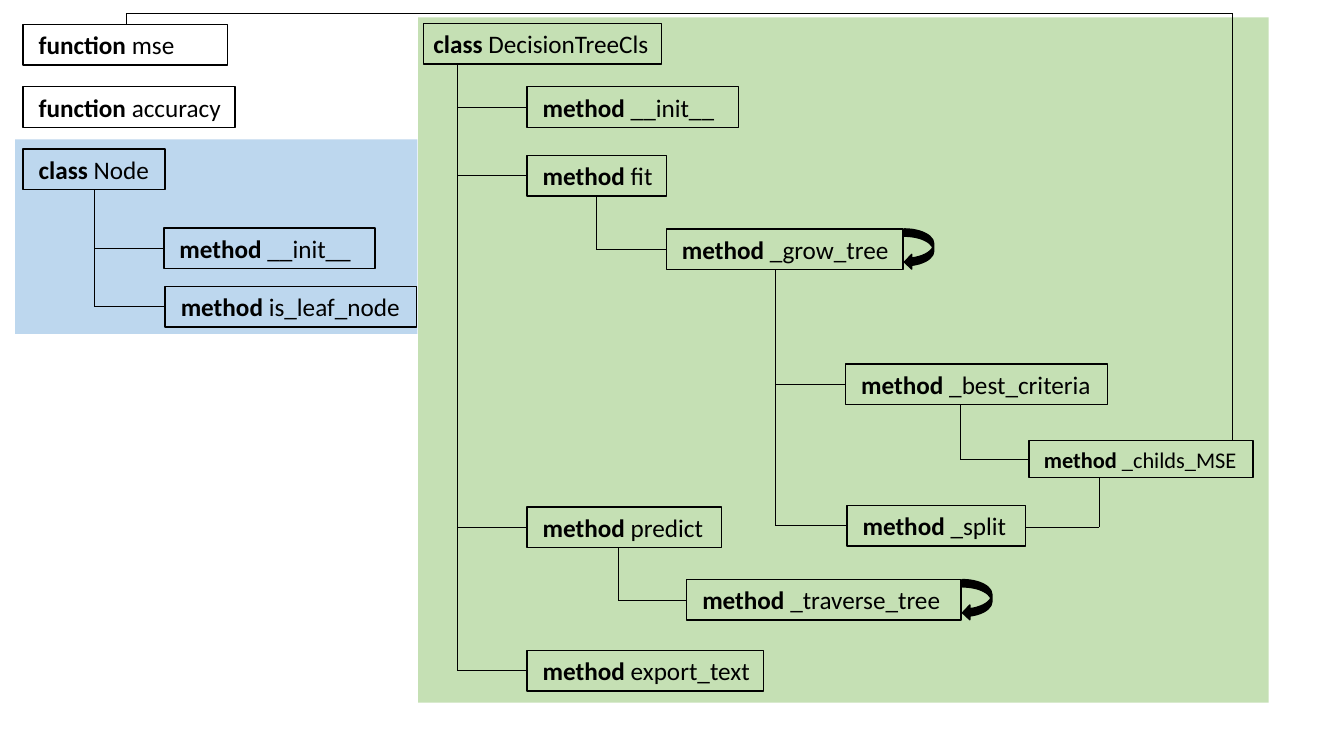
from dataclasses import dataclass
from itertools import pairwise

from lxml.etree import SubElement
from pptx import Presentation
from pptx.dml.color import RGBColor
from pptx.enum.shapes import MSO_CONNECTOR, MSO_SHAPE
from pptx.enum.text import MSO_ANCHOR, MSO_AUTO_SIZE, PP_ALIGN
from pptx.oxml.ns import qn
from pptx.util import Pt

HUES = {"ink": "000000", "green": "C5E0B4", "blue": "BDD7EE"}
FRAME = {
    "word_wrap": True,
    "auto_size": MSO_AUTO_SIZE.SHAPE_TO_FIT_TEXT,
    "vertical_anchor": MSO_ANCHOR.MIDDLE,
}

# name: kind, label, left, top, width, height, text size
BOXES = {
    "mse": (" function ", "mse", 16.5, 17.5, 146, 29, 18),
    "accuracy": (" function ", "accuracy", 16.5, 62, 151.5, 29, 18),
    "node": (" class ", "Node", 16.5, 106.5, 101.5, 29, 18),
    "node init": (" method", " __init__", 117, 162.75, 151, 29, 18),
    "leaf": (" method ", "is_leaf_node", 118, 204.5, 179.5, 29, 18),
    "cls": ("class ", "DecisionTreeCls", 302.5, 16.75, 170, 29, 18),
    "cls init": (" method", " __init__", 376.5, 62, 151, 29, 18),
    "fit": (" method ", "fit", 376.5, 111, 99.5, 29, 18),
    "predict": (" method ", "predict", 376.5, 362, 139, 29, 18),
    "export": (" method ", "export_text", 376.5, 464.5, 169, 29, 18),
    "grow": (" method", " _grow_tree", 476, 163.5, 169, 29, 18),
    "best": (" method", " _best_criteria", 604, 260, 187, 29, 18),
    "split": (" method", " _split", 605, 361, 127.5, 29, 18),
    "childs": (" method", " _childs_MSE", 735, 314.75, 160, 26.5, 16),
    "traverse": (" method", " _traverse_tree", 490.5, 414, 196, 29, 18),
}
# parent, x of its trunk, children
TREES = [
    ("node", 67.5, ["node init", "leaf"]),
    ("cls", 326.5, ["cls init", "fit", "predict", "export"]),
    ("fit", 426, ["grow"]),
    ("grow", 554, ["best", "split"]),
    ("best", 686, ["childs"]),
    ("predict", 441.5, ["traverse"]),
]


def tint(name):
    return RGBColor.from_string(HUES[name])


def apply(target, values):
    for key, value in values.items():
        setattr(target, key, value)


@dataclass
class Chart:
    slide: object
    font: str = "Calibri"
    edge: float = 1
    thin: float = 0.5

    def shape(self, kind, x, y, w, h, fill=None, edge=True):
        item = self.slide.shapes.add_shape(kind, Pt(x), Pt(y), Pt(w), Pt(h))
        item.shadow.inherit = False
        if fill:
            item.fill.solid()
            item.fill.fore_color.rgb = tint(fill)
        else:
            item.fill.background()
        if edge:
            item.line.color.rgb = tint("ink")
            item.line.width = Pt(self.edge)
        else:
            item.line.fill.background()
        return item

    def box(self, kind, label, x, y, w, h, size):
        frame = self.shape(MSO_SHAPE.RECTANGLE, x, y, w, h).text_frame
        apply(frame, FRAME)
        para = frame.paragraphs[0]
        para.alignment = PP_ALIGN.LEFT
        for text, bold in ((kind, True), (label, False)):
            run = para.add_run()
            run.text = text
            apply(run.font, {"name": self.font, "size": Pt(size), "bold": bold})
            run.font.color.rgb = tint("ink")

    def route(self, *points):
        """Join successive points with straight lines."""
        for start, end in pairwise(points):
            ends = [Pt(n) for n in (*start, *end)]
            link = self.slide.shapes.add_connector(MSO_CONNECTOR.STRAIGHT, *ends)
            link.line.color.rgb = tint("ink")
            link.line.width = Pt(self.thin)
            SubElement(link._element.spPr, qn("a:effectLst"))

    def tree(self, parent, trunk, kids):
        """Drop a trunk from the parent and branch to the middle of each child."""
        top, high = BOXES[parent][3], BOXES[parent][5]
        mids = [BOXES[kid][3] + BOXES[kid][5] / 2 for kid in kids]
        self.route((trunk, top + high), (trunk, mids[-1]))
        for kid, mid in zip(kids, mids):
            self.route((BOXES[kid][2], mid), (trunk, mid))

    def loop(self, name):
        """Mark a method that calls itself."""
        x, y, w, h = BOXES[name][2:6]
        self.shape(MSO_SHAPE.CURVED_LEFT_ARROW, x + w + 1, y, 21, h, "ink")


def main():
    deck = Presentation()
    apply(deck, {"slide_width": Pt(960), "slide_height": Pt(540)})
    chart = Chart(deck.slides.add_slide(deck.slide_layouts[6]))

    chart.shape(MSO_SHAPE.RECTANGLE, 298.75, 12.5, 607.5, 489.5, "green", False)
    chart.shape(MSO_SHAPE.RECTANGLE, 10.75, 99.5, 287.5, 139, "blue", False)
    for box in BOXES.values():
        chart.box(*box)
    for tree in TREES:
        chart.tree(*tree)
    chart.route((732.5, 376.5), (785, 376.5), (785, 341.25))
    chart.route((90, 17.5), (90, 9.5), (880, 9.5), (880, 314.75))
    for name in ("grow", "traverse"):
        chart.loop(name)

    deck.save("out.pptx")


if __name__ == "__main__":
    main()
